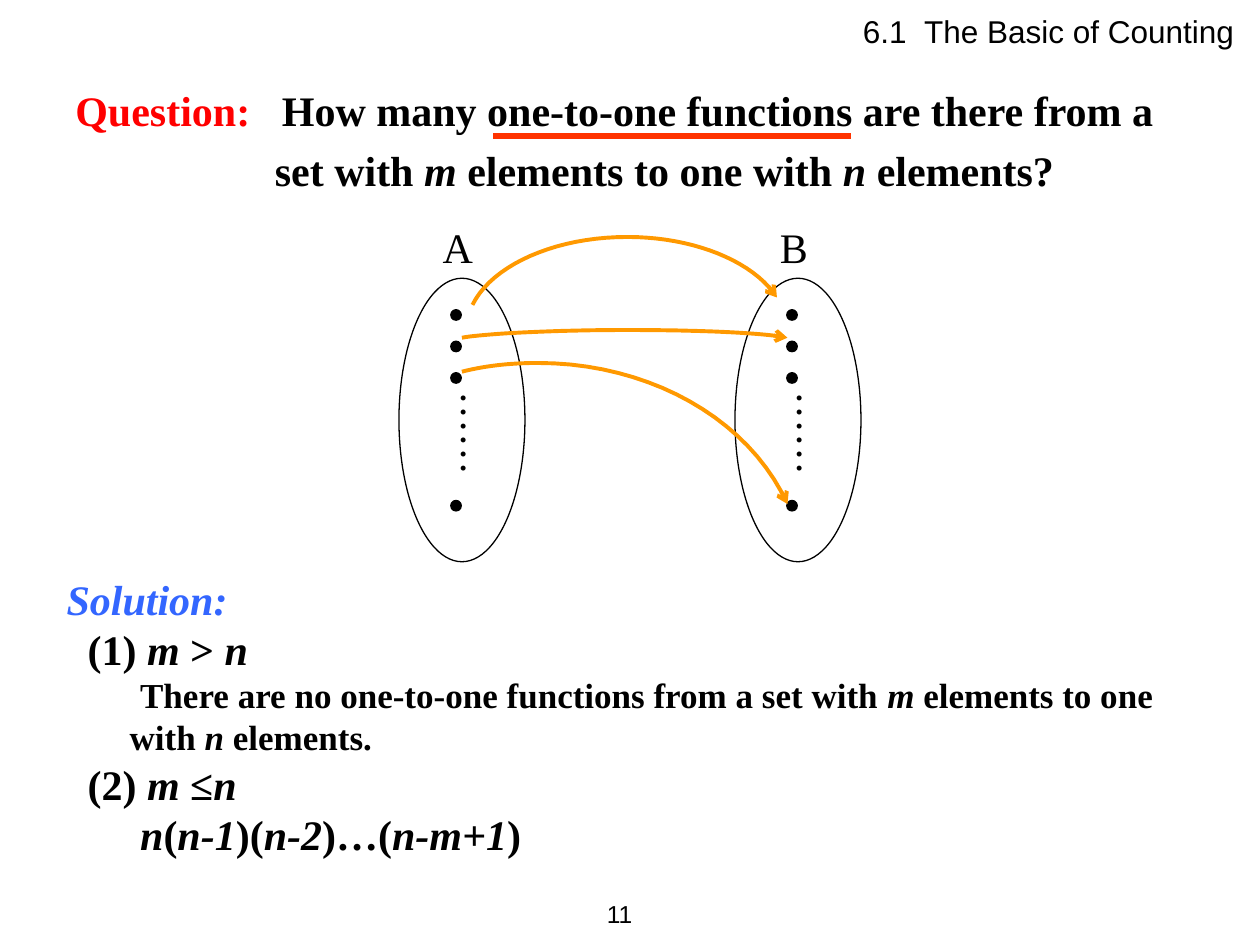
from pptx import Presentation
from pptx import util as u
from pptx.dml.color import RGBColor
from pptx.enum import shapes, text
from pptx.oxml.ns import qn
from lxml import etree

Pt = u.Pt
BLACK = RGBColor(0, 0, 0)
RED = RGBColor(0xFF, 0, 0)
BLUE = RGBColor(0x33, 0x66, 0xFF)
ORANGE = RGBColor(0xFF, 0x99, 0)
MARK = RGBColor(0xFF, 0x33, 0)
LEFT, MID, RIGHT = text.PP_ALIGN.LEFT, text.PP_ALIGN.CENTER, text.PP_ALIGN.RIGHT


class Page:
    serif, sans = "Times New Roman", "Arial"

    def __init__(self, slide):
        self.slide = slide
        self.home = slide.shapes

    def group(self):
        self.home = self.slide.shapes.add_group_shape().shapes

    def ungroup(self):
        self.home = self.slide.shapes

    def box(self, x, y, w, h, wrap=True):
        frame = self.home.add_textbox(Pt(x), Pt(y), Pt(w), Pt(h)).text_frame
        frame.word_wrap = wrap
        if wrap:
            frame.auto_size = text.MSO_AUTO_SIZE.SHAPE_TO_FIT_TEXT
        return frame

    def para(self, frame, words, size=24, font=serif, color=BLACK, bold=False,
             align=LEFT, margin=0, indent=0, before=0):
        """Write one paragraph; words between asterisks are italic."""
        para = frame.paragraphs[0]
        if para.runs:
            para = frame.add_paragraph()
            para.space_before = Pt(before)
        para.alignment = align
        props = para._p.get_or_add_pPr()
        props.set("marL", str(Pt(margin)))
        props.set("indent", str(Pt(indent)))
        for i, part in enumerate(words.split("*")):
            if part:
                run = para.add_run()
                run.text = part
                face = run.font
                face.name, face.size = font, Pt(size)
                face.bold, face.italic = bold, i % 2 == 1
                face.color.rgb = color
        return para

    def oval(self, x, y, w, h, fill=None):
        oval = self.home.add_shape(shapes.MSO_SHAPE.OVAL, Pt(x), Pt(y), Pt(w), Pt(h))
        oval.shadow.inherit = False
        if fill is None:
            oval.fill.background()
        else:
            oval.fill.solid()
            oval.fill.fore_color.rgb = fill
        oval.line.color.rgb = BLACK
        oval.line.width = Pt(0.75)

    def curve(self, pts, steps=20):
        """Draw joined cubic curves with an arrowhead at the first point."""
        spots = []
        for k in range(0, len(pts) - 1, 3):
            for i in range(1, steps + 1):
                t = i / steps
                s = 1 - t
                mix = (s ** 3, 3 * s * s * t, 3 * s * t * t, t ** 3)
                spots.append([Pt(sum(m * p[d] for m, p in zip(mix, pts[k:k + 4])))
                              for d in (0, 1)])
        form = self.home.build_freeform(Pt(pts[0][0]), Pt(pts[0][1]))
        form.add_line_segments(spots, close=False)
        arc = form.convert_to_shape()
        arc.shadow.inherit = False
        arc.fill.background()
        arc.line.color.rgb = ORANGE
        arc.line.width = Pt(2.25)
        etree.SubElement(arc.line._get_or_add_ln(), qn("a:headEnd"), type="arrow")

    def rule(self, x1, y1, x2, y2):
        rule = self.home.add_connector(shapes.MSO_CONNECTOR.STRAIGHT,
                                       Pt(x1), Pt(y1), Pt(x2), Pt(y2))
        rule.line.color.rgb = MARK
        rule.line.width = Pt(3)
        etree.SubElement(rule._element.spPr, qn("a:effectLst"))

    def bag(self, name, x):
        """Draw a set: outline, name, elements and vertical dots."""
        self.group()
        self.oval(x, 159, 72, 162)
        self.para(self.box(x + 9.6, 123, 48, 36), name, align=MID)
        for y in (177, 195, 213, 286):
            self.oval(x + 29.6, y, 6, 6, BLACK)
        dots = self.box(x + 20, 216.7, 43.2, 72)
        dots._txBody.bodyPr.set("vert", "eaVert")
        self.para(dots, "……", align=MID)
        self.ungroup()


def main():
    deck = Presentation()
    deck.slide_width, deck.slide_height = Pt(720), Pt(540)
    page = Page(deck.slides.add_slide(deck.slide_layouts[6]))

    # Page number
    num = page.box(320.4, 504, 48, 36, wrap=False)
    num.vertical_anchor = text.MSO_ANCHOR.MIDDLE
    page.para(num, "11", 14, page.sans, align=RIGHT)

    # Question
    ask = page.box(36, 44.6, 654, 70.6)
    head = page.para(ask, "Question:**\tHow many one-to-one functions are there from a",
                     bold=True, margin=118, indent=-118)
    head.runs[0].font.color.rgb = RED
    page.para(ask, "set with *m* elements to one with *n* elements?",
              bold=True, margin=114, before=5.5)

    # Two sets
    page.bag("A", 228)
    page.bag("B", 420)

    # Arrows from A to B
    for pts in (
        [(444, 170), (430.5, 149), (396, 135.4), (358.5, 135.4),
         (317.5, 135.4), (281.5, 151.2), (270, 174.2)],
        [(450, 193), (435.6, 190.1), (398.9, 188.6), (358.6, 188.6),
         (314.6, 188.6), (275.8, 190.8), (264, 193)],
        [(450, 288), (427.7, 239), (370.8, 207.4), (307.4, 207.4),
         (293, 207.4), (277.9, 208.8), (264, 212.4)],
    ):
        page.curve(pts)

    # Solution
    sol = page.box(31, 324, 652.3, 177)
    page.para(sol, "*Solution:*", color=BLUE, bold=True)
    page.para(sol, "(1) *m *>* n*", bold=True, margin=12)
    page.para(sol, "There are no one-to-one functions from a set with *m* elements "
              "to one with *n* elements.", 20, bold=True, margin=36, indent=6)
    page.para(sol, "(2) *m *≤*n*", bold=True, margin=12)
    page.para(sol, "*n*(*n-1*)(*n-2*)…(*n-m+1*)", bold=True, margin=42)

    # Underline and section title
    page.rule(282, 77.7, 486, 77.7)
    page.para(page.box(486, 3.6, 234, 28.8), "6.1\tThe Basic of Counting",
              18, page.sans, margin=35, indent=-35)

    deck.save("out.pptx")


if __name__ == "__main__":
    main()
